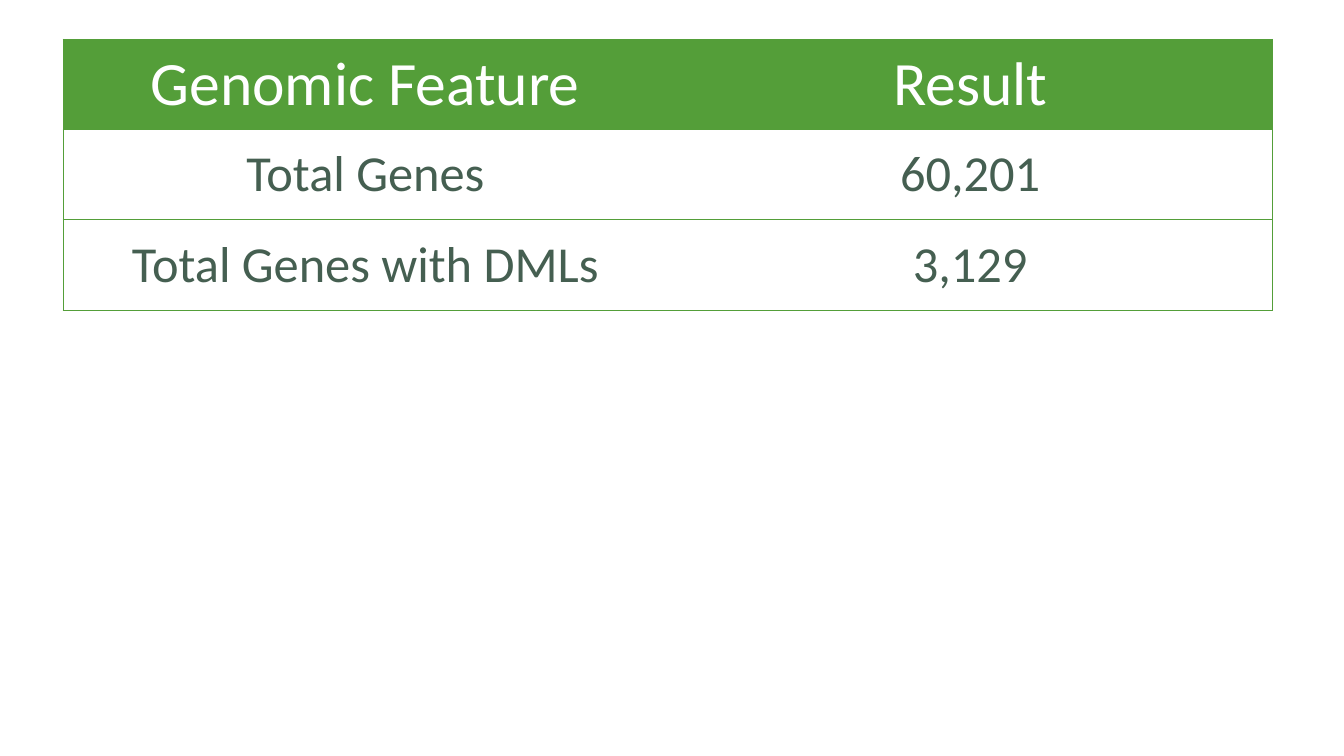
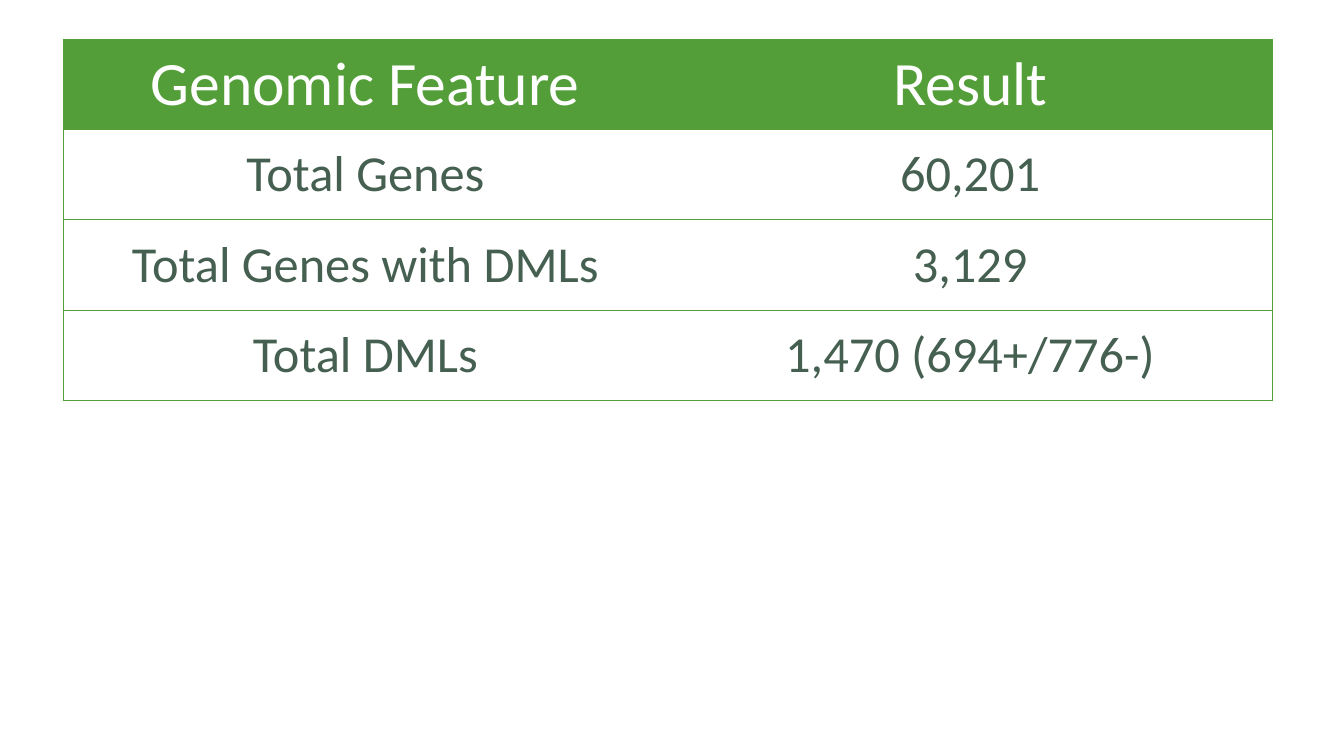
from lxml.etree import SubElement as Sub
from pptx import Presentation
from pptx.dml.color import RGBColor as Rgb
from pptx.enum.text import MSO_ANCHOR as Anchor, PP_ALIGN as Align
from pptx.oxml.ns import qn
from pptx.util import Pt

HUES = {"green": "549E39", "text": "455F51", "white": "FFFFFF"}
FONT = "Calibri"
LEFT, TOP, WIDTH, ROW = 45, 28, 864, 64.5

HEAD = ("Genomic Feature", "Result")
FACTS = [
    ("Total Genes", "60,201"),
    ("Total Genes with DMLs", "3,129"),
    ("Total DMLs", "1,470 (694+/776-)"),
]


def write(cell, text, size, hue):
    cell.vertical_anchor = Anchor.MIDDLE
    para = cell.text_frame.paragraphs[0]
    para.alignment = Align.CENTER
    run = para.add_run()
    run.text = text
    font = run.font
    font.name, font.size, font.bold = FONT, Pt(size), False
    font.color.rgb = Rgb.from_string(HUES[hue])


def edge(cell, sides):
    """Draw the named sides in green and clear the others."""
    props = cell._tc.get_or_add_tcPr()
    for side in "LRTB":
        line = Sub(props, qn(f"a:ln{side}"), w=str(Pt(0.75)))
        if side in sides:
            fill = Sub(line, qn("a:solidFill"))
            Sub(fill, qn("a:srgbClr"), val=HUES["green"])
        else:
            Sub(line, qn("a:noFill"))


def add_grid(slide, rows):
    count, wide = len(rows), len(HEAD)
    table = slide.shapes.add_table(
        count, wide, Pt(LEFT), Pt(TOP), Pt(WIDTH), Pt(ROW * count)).table
    table.first_row = table.horz_banding = False
    for col in table.columns:
        col.width = Pt(WIDTH / wide)
    for r, row in enumerate(rows):
        table.rows[r].height = Pt(ROW)
        for c, text in enumerate(row):
            cell = table.cell(r, c)
            # Outer frame and row rules, with no rule between columns
            edge(cell, "TB" + "L" * (c == 0) + "R" * (c == wide - 1))
            if r == 0:
                cell.fill.solid()
                cell.fill.fore_color.rgb = Rgb.from_string(HUES["green"])
                write(cell, text, size=44, hue="white")
            else:
                cell.fill.background()
                write(cell, text, size=36, hue="text")


def main():
    deck = Presentation()
    deck.slide_width, deck.slide_height = Pt(960), Pt(540)
    # Each slide reveals one more fact
    for shown in (2, 3):
        slide = deck.slides.add_slide(deck.slide_layouts[6])
        add_grid(slide, [HEAD] + FACTS[:shown])
    deck.save("out.pptx")


if __name__ == "__main__":
    main()
